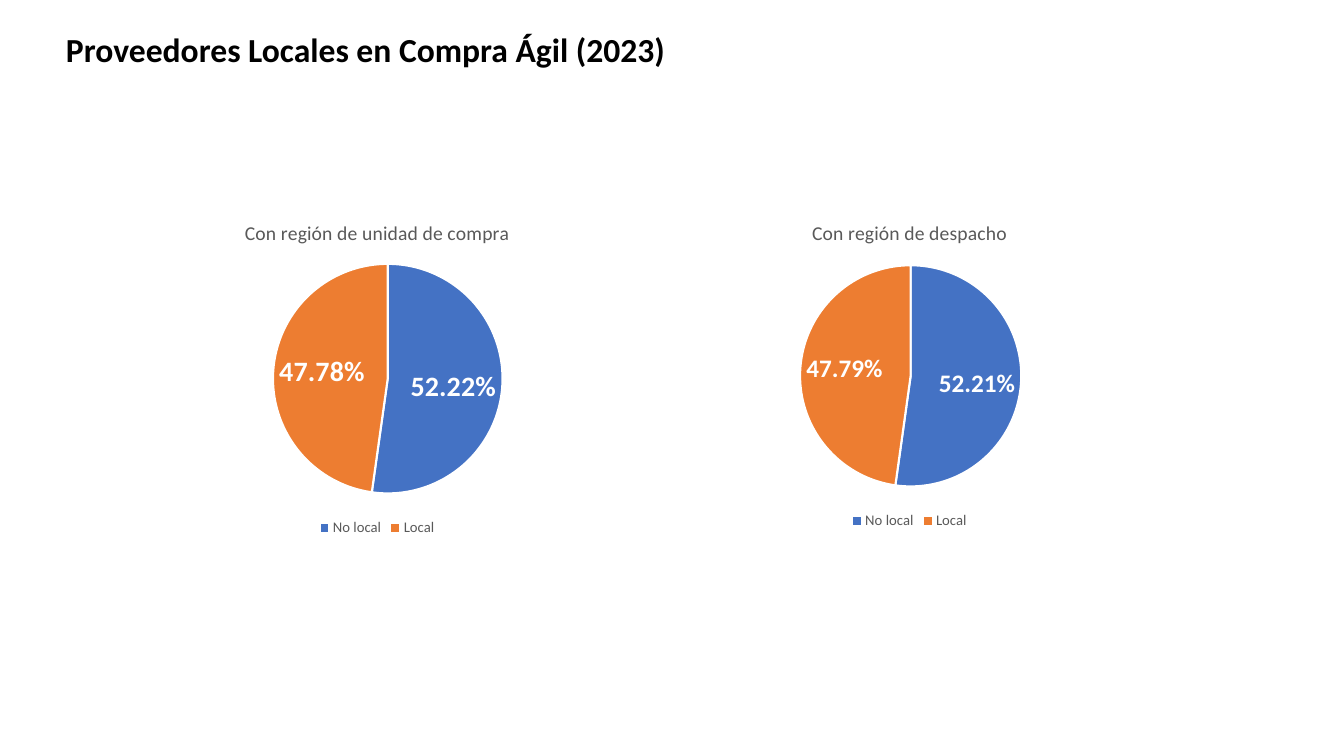
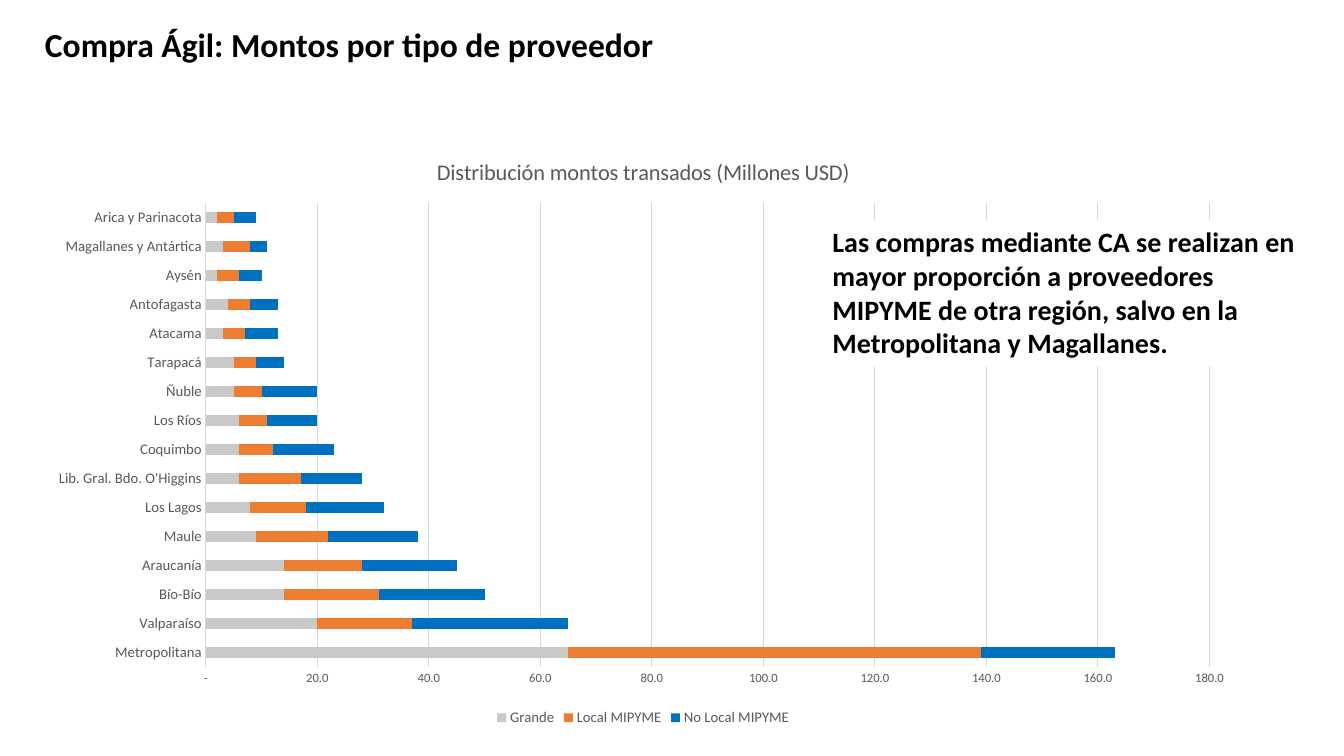
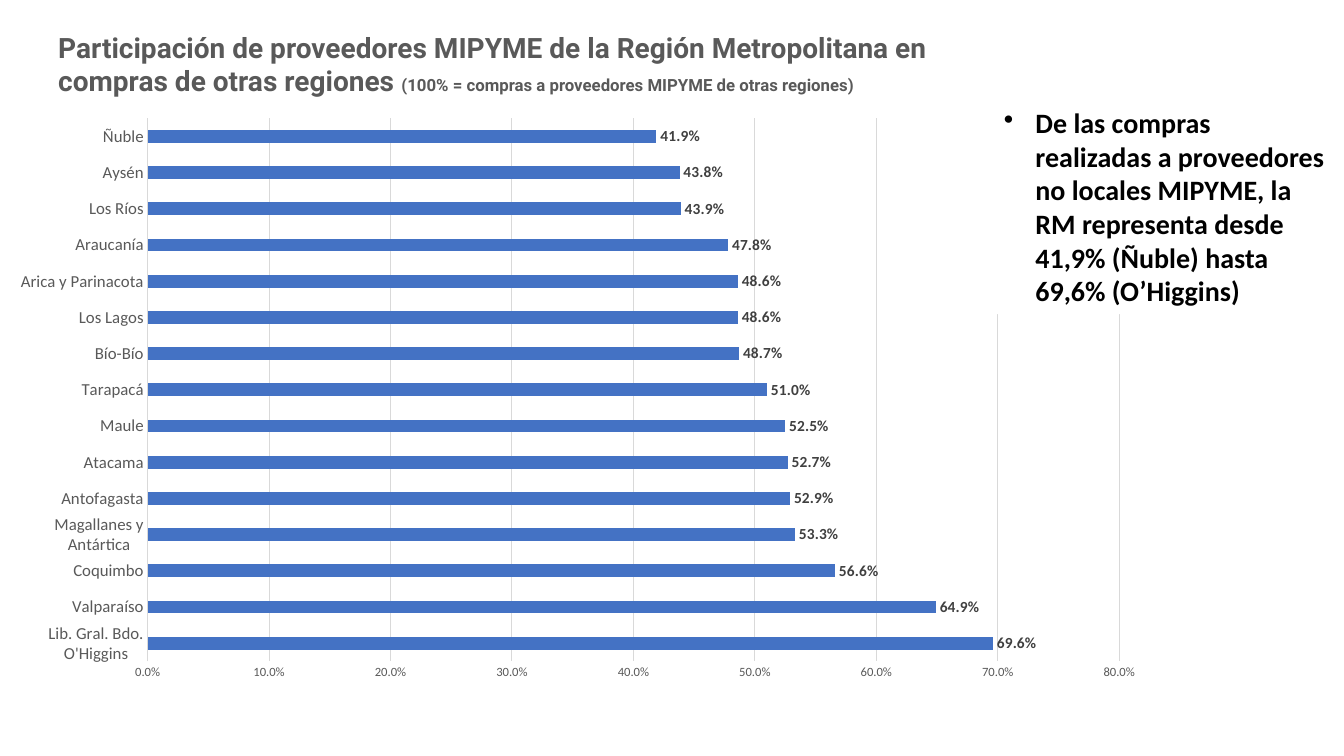
from lxml.etree import SubElement
from pptx import Presentation
from pptx.chart.data import CategoryChartData
from pptx.dml.color import RGBColor
from pptx.enum.chart import XL_CHART_TYPE, XL_LABEL_POSITION, XL_LEGEND_POSITION, XL_TICK_MARK
from pptx.enum.shapes import MSO_SHAPE
from pptx.enum.text import MSO_ANCHOR, PP_ALIGN
from pptx.oxml.ns import qn
from pptx.util import Pt

BLACK, WHITE = "000000", "FFFFFF"
GREY, DARK_GREY, RULE = "595959", "404040", "D9D9D9"
BLUE, ORANGE, SILVER, STRONG_BLUE = "4472C4", "ED7D31", "C9C9C9", "0070C0"


def rgb(code):
    return RGBColor.from_string(code)


class Deck:
    FONT = "Calibri"

    def __init__(self):
        self.prs = Presentation()
        self.prs.slide_width, self.prs.slide_height = Pt(960), Pt(540)
        self.slide = None

    def new_slide(self):
        self.slide = self.prs.slides.add_slide(self.prs.slide_layouts[6])

    def style(self, font, size, color, bold=False, name=FONT):
        font.name, font.size, font.bold = name, Pt(size), bold
        font.color.rgb = rgb(color)

    def textbox(self, box):
        frame = self.slide.shapes.add_textbox(*map(Pt, box)).text_frame
        frame.word_wrap = True
        return frame

    def title(self, text, box):
        frame = self.textbox(box)
        frame.vertical_anchor = MSO_ANCHOR.MIDDLE
        heading = frame.paragraphs[0]
        heading.text, heading.line_spacing = text, 0.9
        self.style(heading.font, 24, BLACK, True)

    def title_with_note(self, text, note, box):
        heading = self.textbox(box).paragraphs[0]
        self.style(heading.font, 20, GREY, True, "Roboto")
        heading.add_run().text = text
        aside = heading.add_run()
        aside.text, aside.font.size = note, Pt(12)

    def message(self, text, box, bullet=False):
        panel = self.slide.shapes.add_shape(MSO_SHAPE.RECTANGLE, *map(Pt, box))
        panel.shadow.inherit = False
        panel.fill.solid()
        panel.fill.fore_color.rgb = rgb(WHITE)
        panel.line.fill.background()
        frame = panel.text_frame
        frame.word_wrap, frame.vertical_anchor = True, MSO_ANCHOR.TOP
        finding = frame.paragraphs[0]
        finding.text, finding.alignment = text, PP_ALIGN.LEFT
        self.style(finding.font, 20, BLACK, True)
        if bullet:
            props = finding._p.get_or_add_pPr()
            props.set("marL", str(Pt(22.5)))
            props.set("indent", str(-Pt(22.5)))
            mark = props.makeelement(qn("a:buChar"), {"char": "•"})
            props.insert_element_before(mark, "a:tabLst", "a:defRPr", "a:extLst")

    def chart(self, kind, box, plot_box, categories, series, title=None, title_size=14, legend=True):
        data = CategoryChartData()
        data.categories = categories
        for name, values in series.items():
            data.add_series(name, values)
        chart = self.slide.shapes.add_chart(kind, *map(Pt, box), data).chart
        self.style(chart.font, 10, BLACK)
        chart.has_title = title is not None
        if title:
            caption = chart.chart_title.text_frame.paragraphs[0]
            caption.text = title
            self.style(caption.font, title_size, GREY)
            chart.chart_title.include_in_layout = False
        chart.has_legend = legend
        if legend:
            chart.legend.position = XL_LEGEND_POSITION.BOTTOM
            chart.legend.include_in_layout = False
            self.style(chart.legend.font, 10.5, GREY)
        self.place_plot(chart, box, plot_box)
        return chart

    def place_plot(self, chart, box, plot_box):
        area = chart._chartSpace.chart.plotArea
        for old in area.findall(qn("c:layout")):
            area.remove(old)
        layout = area.makeelement(qn("c:layout"), {})
        area.insert(0, layout)
        manual = SubElement(layout, qn("c:manualLayout"))
        left, top, width, height = box
        x, y, w, h = plot_box
        settings = {
            "layoutTarget": "inner", "xMode": "edge", "yMode": "edge",
            "x": (x - left) / width, "y": (y - top) / height,
            "w": w / width, "h": h / height,
        }
        for tag, value in settings.items():
            SubElement(manual, qn(f"c:{tag}")).set("val", str(value))

    def labels(self, plot, size, color, number_format, position):
        plot.has_data_labels = True
        labels = plot.data_labels
        labels.number_format, labels.number_format_is_linked = number_format, False
        labels.position = position
        self.style(labels.font, size, color, True)
        return labels

    def pie(self, title, box, plot_box, values, label_size):
        chart = self.chart(XL_CHART_TYPE.PIE, box, plot_box, ["No local", "Local"],
                           {"Series 1": values}, title)
        plot = chart.plots[0]
        plot.vary_by_categories = True
        for index, color in enumerate([BLUE, ORANGE]):
            slice_format = plot.series[0].points[index].format
            slice_format.fill.solid()
            slice_format.fill.fore_color.rgb = rgb(color)
            slice_format.line.color.rgb = rgb(WHITE)
            slice_format.line.width = Pt(1.5)
        labels = self.labels(plot, label_size, WHITE, "0.00%", XL_LABEL_POSITION.INSIDE_END)
        labels.show_percentage, labels.show_value = True, False

    def bars(self, kind, box, plot_box, categories, series, colors, gap, category_size,
             number_format, maximum, step, **options):
        chart = self.chart(kind, box, plot_box, categories, series, **options)
        plot = chart.plots[0]
        plot.vary_by_categories, plot.gap_width = False, gap
        for bar, color in zip(plot.series, colors):
            bar.format.fill.solid()
            bar.format.fill.fore_color.rgb = rgb(color)
            bar.invert_if_negative = False
        names, scale = chart.category_axis, chart.value_axis
        for axis, size in [(names, category_size), (scale, 9)]:
            axis.major_tick_mark = axis.minor_tick_mark = XL_TICK_MARK.NONE
            self.style(axis.tick_labels.font, size, GREY)
        names.has_major_gridlines = False
        scale.has_major_gridlines = True
        for rule in [names.format.line, scale.major_gridlines.format.line]:
            rule.color.rgb, rule.width = rgb(RULE), Pt(0.75)
        scale.format.line.fill.background()
        scale.minimum_scale, scale.maximum_scale, scale.major_unit = 0, maximum, step
        scale.tick_labels.number_format = number_format
        scale.tick_labels.number_format_is_linked = False
        return plot


def local_suppliers(deck):
    deck.new_slide()
    deck.title("Proveedores Locales en Compra Ágil (2023)", (40, 12, 558, 50))
    deck.pie("Con región de unidad de compra", (65.5, 145.5, 408, 241),
             (195, 188.5, 164, 164), [52.22, 47.78], 20)
    deck.pie("Con región de despacho", (453.5, 145.5, 392.5, 236),
             (571.5, 189.5, 158, 158), [52.21, 47.79], 18)


def amounts_by_supplier(deck):
    deck.new_slide()
    deck.title("Compra Ágil: Montos por tipo de proveedor", (25, 8, 483, 50))
    regions = ["Metropolitana", "Valparaíso", "Bío-Bío", "Araucanía", "Maule", "Los Lagos",
               "Lib. Gral. Bdo. O'Higgins", "Coquimbo", "Los Ríos", "Ñuble", "Tarapacá",
               "Atacama", "Antofagasta", "Aysén", "Magallanes y Antártica",
               "Arica y Parinacota"]
    amounts = {
        "Grande": [65, 20, 14, 14, 9, 8, 6, 6, 6, 5, 5, 3, 4, 2, 3, 2],
        "Local MIPYME": [74, 17, 17, 14, 13, 10, 11, 6, 5, 5, 4, 4, 4, 4, 5, 3],
        "No Local MIPYME": [24, 28, 19, 17, 16, 14, 11, 11, 9, 10, 5, 6, 5, 4, 3, 4],
    }
    plot = deck.bars(XL_CHART_TYPE.BAR_STACKED, (25, 97, 869, 425), (147, 145, 717, 331.5),
                     regions, amounts, [SILVER, ORANGE, STRONG_BLUE], 150, 10.5,
                     '_ * #,##0.0_ ;_ * \\-#,##0.0_ ;_ * "-"_ ;', 180, 20,
                     title="Distribución montos transados (Millones USD)", title_size=16)
    plot.overlap = 100
    deck.message("Las compras mediante CA se realizan en mayor proporción a proveedores MIPYME "
                 "de otra región, salvo en la Metropolitana y Magallanes.",
                 (587.5, 157, 349, 104.5))


def metropolitan_share(deck):
    deck.new_slide()
    deck.title_with_note(
        "Participación de proveedores MIPYME de la Región Metropolitana en compras de otras "
        "regiones ", "(100% = compras a proveedores MIPYME de otras regiones)",
        (34.5, 18, 689, 55.5))
    shares = {
        "Lib. Gral. Bdo. O'Higgins": 0.696, "Valparaíso": 0.649, "Coquimbo": 0.566,
        "Magallanes y Antártica": 0.533, "Antofagasta": 0.529, "Atacama": 0.527,
        "Maule": 0.525, "Tarapacá": 0.51, "Bío-Bío": 0.487, "Los Lagos": 0.486,
        "Arica y Parinacota": 0.486, "Araucanía": 0.478, "Los Ríos": 0.439,
        "Aysén": 0.438, "Ñuble": 0.419,
    }
    plot = deck.bars(XL_CHART_TYPE.BAR_CLUSTERED, (12, 72, 805, 426), (105.5, 84.5, 694, 388),
                     list(shares), {"Series 1": list(shares.values())}, [BLUE], 182, 12,
                     "0.0%", 0.8, 0.1, legend=False)
    deck.labels(plot, 11, DARK_GREY, "0.0%", XL_LABEL_POSITION.OUTSIDE_END).show_value = True
    deck.message("De las compras realizadas a proveedores no locales MIPYME, la RM representa "
                 "desde 41,9% (Ñuble) hasta 69,6% (O’Higgins)", (710, 72, 245, 152.5), bullet=True)


def main():
    deck = Deck()
    local_suppliers(deck)
    amounts_by_supplier(deck)
    metropolitan_share(deck)
    deck.prs.save("out.pptx")


if __name__ == "__main__":
    main()
